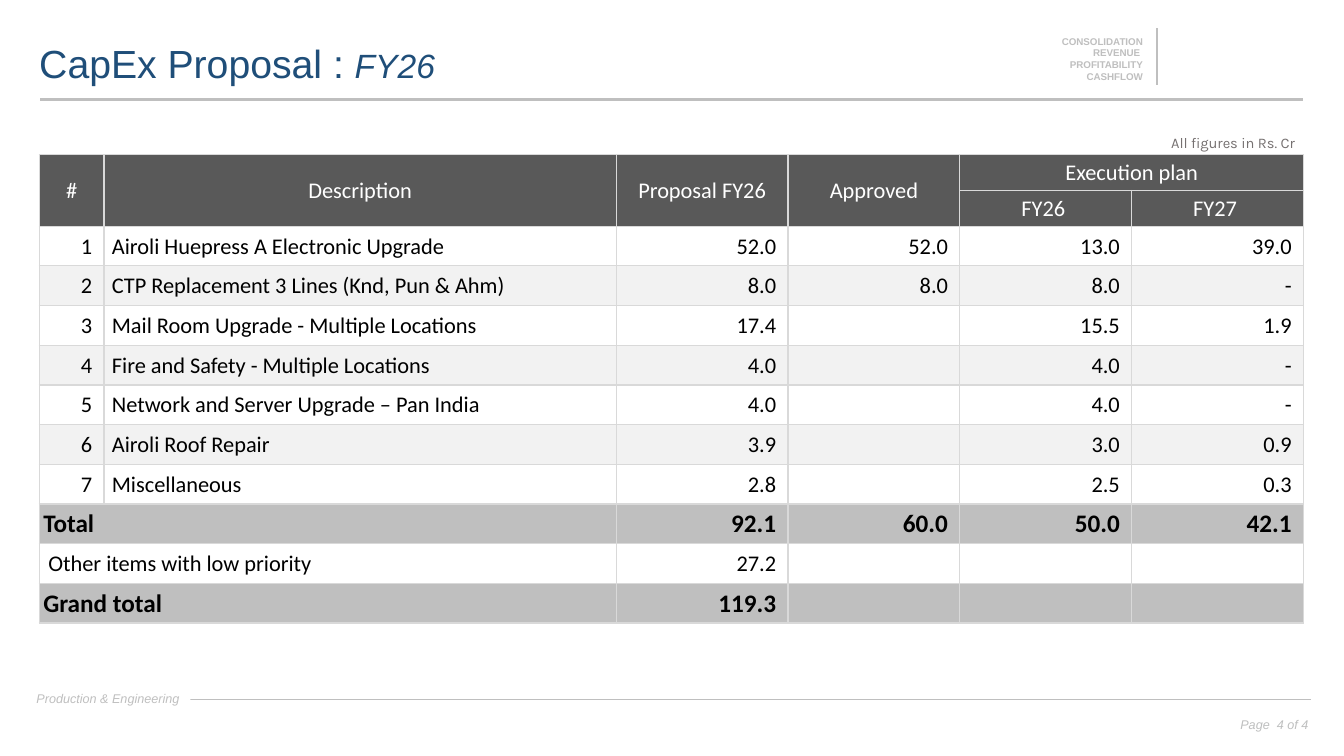
from dataclasses import dataclass
from typing import Optional

from lxml.etree import SubElement
from pptx import Presentation
from pptx.dml.color import RGBColor
from pptx.enum.shapes import MSO_CONNECTOR, MSO_SHAPE
from pptx.enum.text import MSO_ANCHOR, PP_ALIGN
from pptx.oxml.ns import qn
from pptx.util import Cm, Pt

LEFT, CENTER, RIGHT = PP_ALIGN.LEFT, PP_ALIGN.CENTER, PP_ALIGN.RIGHT
WHITE, BLACK, NAVY = "FFFFFF", "000000", "1F4E79"
SILVER, BORDER, HEADER, STRIPE = "BFBFBF", "D9D9D9", "595959", "F2F2F2"

COLUMN_WIDTHS = [1.63, 12.91] + [4.33] * 4
HEADER_HEIGHT, ROW_HEIGHT = 0.9, 1.0
HEADER_ROWS = [
    ["#", "Description", "Proposal FY26", "Approved", "Execution plan", ""],
    ["", "", "", "", "FY26 ", "FY27 "],
]
ITEMS = [
    ["Airoli Huepress A Electronic Upgrade", "52.0", "52.0", "13.0", "39.0"],
    ["CTP Replacement 3 Lines (Knd, Pun & Ahm)", "8.0", "8.0", "8.0", "-"],
    ["Mail Room Upgrade - Multiple Locations", "17.4", "", "15.5", "1.9"],
    ["Fire and Safety - Multiple Locations", "4.0", "", "4.0", "-"],
    ["Network and Server Upgrade – Pan India", "4.0", "", "4.0", "-"],
    ["Airoli Roof Repair", "3.9", "", "3.0", "0.9"],
    ["Miscellaneous", "2.8", "", "2.5", "0.3"],
]
SUMMARIES = [
    ["Total", "", "92.1", "60.0", "50.0", "42.1"],
    ["Other items with low priority", "", "27.2", "", "", ""],
    ["Grand total", "", "119.3", "", "", ""],
]


@dataclass
class Run:
    text: str
    size: float
    color: str
    font: str = "Arial"
    bold: bool = False
    italic: bool = False


@dataclass
class Label:
    """Text block in centimetres; margins run left, top, right, bottom."""
    box: tuple[float, float, float, float]
    paragraphs: list[list[Run]]
    margins: tuple[float, float, float, float]
    align: PP_ALIGN = LEFT
    anchor: MSO_ANCHOR = MSO_ANCHOR.MIDDLE
    fill: Optional[str] = None
    line_spacing: float = 1.0


@dataclass
class Rule:
    start: tuple[float, float]
    end: tuple[float, float]
    width: float


@dataclass
class CellStyle:
    align: PP_ALIGN
    left: float
    right: float
    size: float = 16
    color: str = BLACK
    fill: Optional[str] = None
    bold: bool = False


RULES = [
    Rule((29.16, 0.71), (29.16, 2.13), 1),
    Rule((1.02, 2.51), (32.84, 2.51), 2),
    Rule((1.27, 17.63), (33.05, 17.63), 0.25),
]
THEMES = ["CONSOLIDATION", "REVENUE ", "PROFITABILITY", "CASHFLOW"]
LABELS = [
    Label((25.68, 0.84, 3.12, 1.24), [[Run(theme, 7, SILVER, bold=True)] for theme in THEMES],
          (0, 0.05, 0, 0), RIGHT, MSO_ANCHOR.TOP),
    Label((0.74, 17.32, 4.06, 0.58), [[Run("Production & Engineering", 9, SILVER, italic=True)]],
          (0.18, 0.1, 0.1, 0.1), fill=WHITE),
    Label((30.28, 17.96, 2.79, 0.58), [[Run("Page  4 of 4", 9, "BEBFBF", italic=True)]],
          (0.1, 0.1, 0.1, 0.1), RIGHT),
    Label((0.99, 1.07, 24.18, 1.19),
          [[Run("CapEx Proposal : ", 28, NAVY), Run("FY26", 24, NAVY, italic=True)]],
          (0, 0.1, 0.1, 0.1), line_spacing=0.9),
    Label((28.27, 3.25, 4.62, 0.74), [[Run("All figures in Rs. Cr", 10.5, "767171", "Karla")]],
          (0.25, 0.13, 0.25, 0.13), RIGHT, MSO_ANCHOR.TOP),
]


def rgb(value: str) -> RGBColor:
    return RGBColor.from_string(value)


def set_attributes(target, values: dict) -> None:
    for name, value in values.items():
        setattr(target, name, value)


def margin_values(margins: tuple) -> dict:
    names = ("margin_left", "margin_top", "margin_right", "margin_bottom")
    return {name: Cm(margin) for name, margin in zip(names, margins)}


def add_run(paragraph, run: Run) -> None:
    text_run = paragraph.add_run()
    text_run.text = run.text
    set_attributes(text_run.font, {"name": run.font, "size": Pt(run.size),
                                   "bold": run.bold, "italic": run.italic})
    text_run.font.color.rgb = rgb(run.color)


def add_label(slide, label: Label) -> None:
    box = [Cm(length) for length in label.box]
    if label.fill:
        shape = slide.shapes.add_shape(MSO_SHAPE.RECTANGLE, *box)
        shape.shadow.inherit = False
        shape.fill.solid()
        shape.fill.fore_color.rgb = rgb(label.fill)
        shape.line.fill.background()
    else:
        shape = slide.shapes.add_textbox(*box)
    frame = shape.text_frame
    set_attributes(frame, {"word_wrap": True, "vertical_anchor": label.anchor,
                           **margin_values(label.margins)})
    for index, runs in enumerate(label.paragraphs):
        paragraph = frame.add_paragraph() if index else frame.paragraphs[0]
        set_attributes(paragraph, {"alignment": label.align, "line_spacing": label.line_spacing})
        for run in runs:
            add_run(paragraph, run)


def add_rule(slide, rule: Rule) -> None:
    points = [Cm(length) for length in rule.start + rule.end]
    connector = slide.shapes.add_connector(MSO_CONNECTOR.STRAIGHT, *points)
    connector.line.color.rgb = rgb(SILVER)
    connector.line.width = Pt(rule.width)
    SubElement(connector._element.spPr, qn("a:effectLst"))


def add_borders(cell) -> None:
    properties = cell._tc.get_or_add_tcPr()
    for position, side in enumerate(("a:lnL", "a:lnR", "a:lnT", "a:lnB")):
        line = SubElement(properties, qn(side), w=str(Pt(1)))
        properties.insert(position, line)
        SubElement(SubElement(line, qn("a:solidFill")), qn("a:srgbClr"), val=BORDER)


def fill_cell(cell, text: str, style: CellStyle) -> None:
    set_attributes(cell, {"vertical_anchor": MSO_ANCHOR.MIDDLE,
                          **margin_values((style.left, 0.02, style.right, 0))})
    if style.fill:
        cell.fill.solid()
        cell.fill.fore_color.rgb = rgb(style.fill)
    else:
        cell.fill.background()
    add_borders(cell)
    if text:
        paragraph = cell.text_frame.paragraphs[0]
        paragraph.alignment = style.align
        add_run(paragraph, Run(text, style.size, style.color, "Calibri", style.bold))


def cell_style(row: int, column: int) -> CellStyle:
    item, summary = row - len(HEADER_ROWS), row - len(HEADER_ROWS) - len(ITEMS)
    if item < 0:
        return CellStyle(CENTER, 0.02, 0.02, color=WHITE, fill=HEADER)
    style = CellStyle(RIGHT, 0.02, 0.3, fill=STRIPE if item % 2 else None)
    if summary >= 0:
        total = summary != 1
        set_attributes(style, {"fill": SILVER if total else None,
                               "size": 18 if total else 16, "bold": total})
        if column == 0:
            set_attributes(style, {"align": LEFT, "left": 0.1 if total else 0.23, "right": 0.02})
    elif column == 1:
        set_attributes(style, {"align": LEFT, "left": 0.2, "right": 0.02})
    return style


def add_proposal_table(slide) -> None:
    numbered = [[str(number), *item] for number, item in enumerate(ITEMS, 1)]
    rows = HEADER_ROWS + numbered + SUMMARIES
    heights = [HEADER_HEIGHT] * len(HEADER_ROWS) + [ROW_HEIGHT] * (len(ITEMS) + len(SUMMARIES))
    table = slide.shapes.add_table(len(rows), len(COLUMN_WIDTHS), Cm(0.99), Cm(3.9),
                                   Cm(sum(COLUMN_WIDTHS)), Cm(sum(heights))).table
    set_attributes(table, {"first_row": False, "horz_banding": False})
    for column, width in zip(table.columns, COLUMN_WIDTHS):
        column.width = Cm(width)
    for row, height in zip(table.rows, heights):
        row.height = Cm(height)
    for row, texts in enumerate(rows):
        for column, text in enumerate(texts):
            fill_cell(table.cell(row, column), text, cell_style(row, column))
    for column in range(4):
        table.cell(0, column).merge(table.cell(1, column))
    table.cell(0, 4).merge(table.cell(0, 5))
    for row in range(len(rows) - len(SUMMARIES), len(rows)):
        table.cell(row, 0).merge(table.cell(row, 1))


def main() -> None:
    presentation = Presentation()
    set_attributes(presentation, {"slide_width": Cm(33.87), "slide_height": Cm(19.05)})
    slide = presentation.slides.add_slide(presentation.slide_layouts[6])
    for rule in RULES:
        add_rule(slide, rule)
    for label in LABELS:
        add_label(slide, label)
    add_proposal_table(slide)
    presentation.save("out.pptx")


if __name__ == "__main__":
    main()
